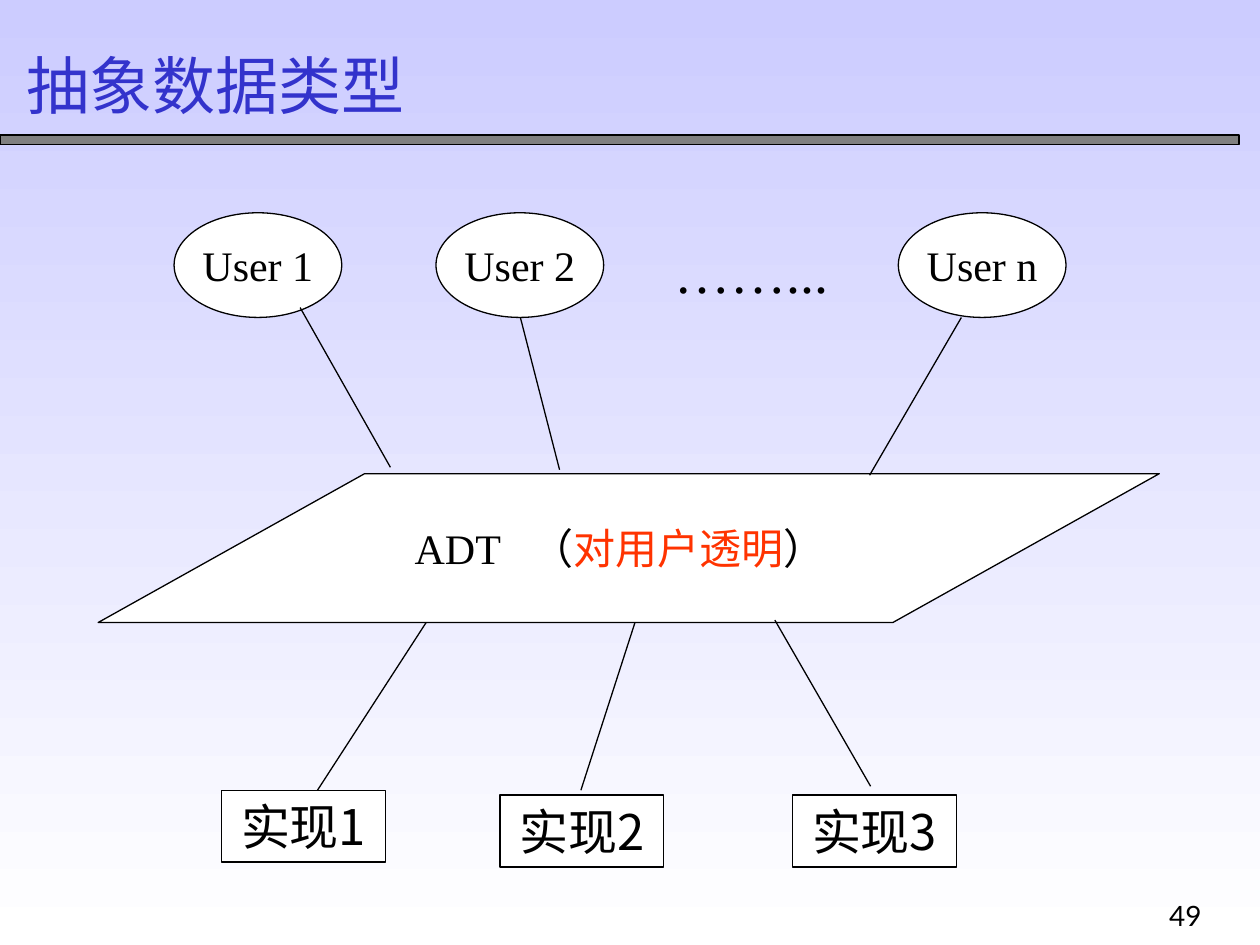
import pptx
import pptx.util
import pptx.dml.color
import pptx.enum.shapes
import pptx.enum.text
import pptx.oxml.ns
import lxml.etree

Cm, Pt = pptx.util.Cm, pptx.util.Pt
SHAPE = pptx.enum.shapes.MSO_SHAPE
ALIGN = pptx.enum.text.PP_ALIGN
ANCHOR = pptx.enum.text.MSO_ANCHOR
qn = pptx.oxml.ns.qn

# Content: positions and sizes in cm
COLORS = {"black": "000000", "white": "FFFFFF", "bar": "808080", "title": "3333CC",
          "accent": "FF3300", "sky": "CCCCFF"}
SERIF, SANS, NUMERAL = "Times New Roman", "Noto Sans CJK SC", "Lato"
TITLE = "抽象数据类型"
ADT_RUNS = [("ADT\t（", "black"), ("对用户透明", "accent"), ("）", "black")]
ADT_BOX = (1.98, 9.55, 21.39, 3.0)
USER_TOP, USER_SIZE = 4.29, (3.38, 2.11)
USERS = [("User 1", 3.51), ("User 2", 8.79), ("User n", 18.11)]
IMPL_SIZE = (3.3, 1.45)
IMPLS = [("实现1", 4.47, 15.93), ("实现2", 10.08, 16.03), ("实现3", 15.98, 16.03)]
USER_LINES = [(6.05, 6.2, 7.87, 9.42), (10.49, 6.4, 11.28, 9.47), (19.38, 6.4, 17.53, 9.58)]
IMPL_LINES = [(8.59, 12.55, 6.4, 15.93), (12.8, 12.55, 11.71, 15.93),
              (15.62, 12.5, 17.55, 15.85)]


def rgb(name):
    return pptx.dml.color.RGBColor.from_string(COLORS[name])


def style_run(r, font, size, color):
    r.font.name, r.font.size = font, Pt(size)
    r.font.color.rgb = rgb(color)
    ea = lxml.etree.SubElement(r.font._element, qn("a:ea"))
    ea.set("typeface", SANS)


def write(sp, runs, font, size, align=ALIGN.CENTER, anchor=ANCHOR.MIDDLE, wrap=False):
    tf = sp.text_frame
    tf.word_wrap, tf.vertical_anchor = wrap, anchor
    p = tf.paragraphs[0]
    p.alignment = align
    for text, color in runs:
        r = p.add_run()
        r.text = text
        style_run(r, font, size, color)


def add_shape(kind, box, fill="white"):
    sp = s.shapes.add_shape(kind, *map(Cm, box))
    sp.shadow.inherit = False
    sp.fill.solid()
    sp.fill.fore_color.rgb = rgb(fill)
    sp.line.color.rgb = rgb("black")
    sp.line.width = Pt(0.75)
    return sp


def add_text(box, text, font, size, color="black", **layout):
    write(s.shapes.add_textbox(*map(Cm, box)), [(text, color)], font, size, **layout)


def add_lines(lines):
    for ends in lines:
        line = s.shapes.add_connector(pptx.enum.shapes.MSO_CONNECTOR.STRAIGHT, *map(Cm, ends))
        line.line.color.rgb = rgb("black")
        line.line.width = Pt(0.75)
        lxml.etree.SubElement(line._element.spPr, qn("a:effectLst"))


prs = pptx.Presentation()
prs.slide_width, prs.slide_height = Cm(25.4), Cm(19.05)
s = prs.slides.add_slide(prs.slide_layouts[6])

# Background fading downwards
background = s.background.fill
background.gradient()
background.gradient_angle = 270
for stop, color in zip(background.gradient_stops, ("sky", "white")):
    stop.color.rgb = rgb(color)

# Title and bar
add_shape(SHAPE.RECTANGLE, (0, 2.72, 24.98, 0.2), "bar")
add_text((0.28, 0.81, 8.5, 1.78), TITLE, SANS, 36, "title",
         align=ALIGN.LEFT, anchor=ANCHOR.TOP, wrap=True)

# ADT layer, its label set in from the left with one tab stop
adt = add_shape(SHAPE.PARALLELOGRAM, ADT_BOX)
adt.adjustments[0] = 1.79
adt.text_frame.margin_left = Cm(2.36)
tabs = lxml.etree.SubElement(adt.text_frame.paragraphs[0]._p.get_or_add_pPr(), qn("a:tabLst"))
lxml.etree.SubElement(tabs, qn("a:tab"), pos=str(Cm(2.36)), algn="l")
write(adt, ADT_RUNS, SERIF, 24, align=ALIGN.LEFT, wrap=True)

# Users above
for name, left in USERS:
    write(add_shape(SHAPE.OVAL, (left, USER_TOP, *USER_SIZE)), [(name, "black")], SERIF, 24)
add_text((13.34, 4.65, 3.61, 1.63), "……...", SERIF, 32)
add_lines(USER_LINES)

# Implementations below
for name, left, top in IMPLS:
    write(add_shape(SHAPE.RECTANGLE, (left, top, *IMPL_SIZE)), [(name, "black")], SANS, 28)
add_lines(IMPL_LINES)

# Page number
add_text((23.32, 17.98, 1.8, 1.07), "49", NUMERAL, 16,
         align=ALIGN.LEFT, anchor=ANCHOR.TOP, wrap=True)

prs.save("out.pptx")
